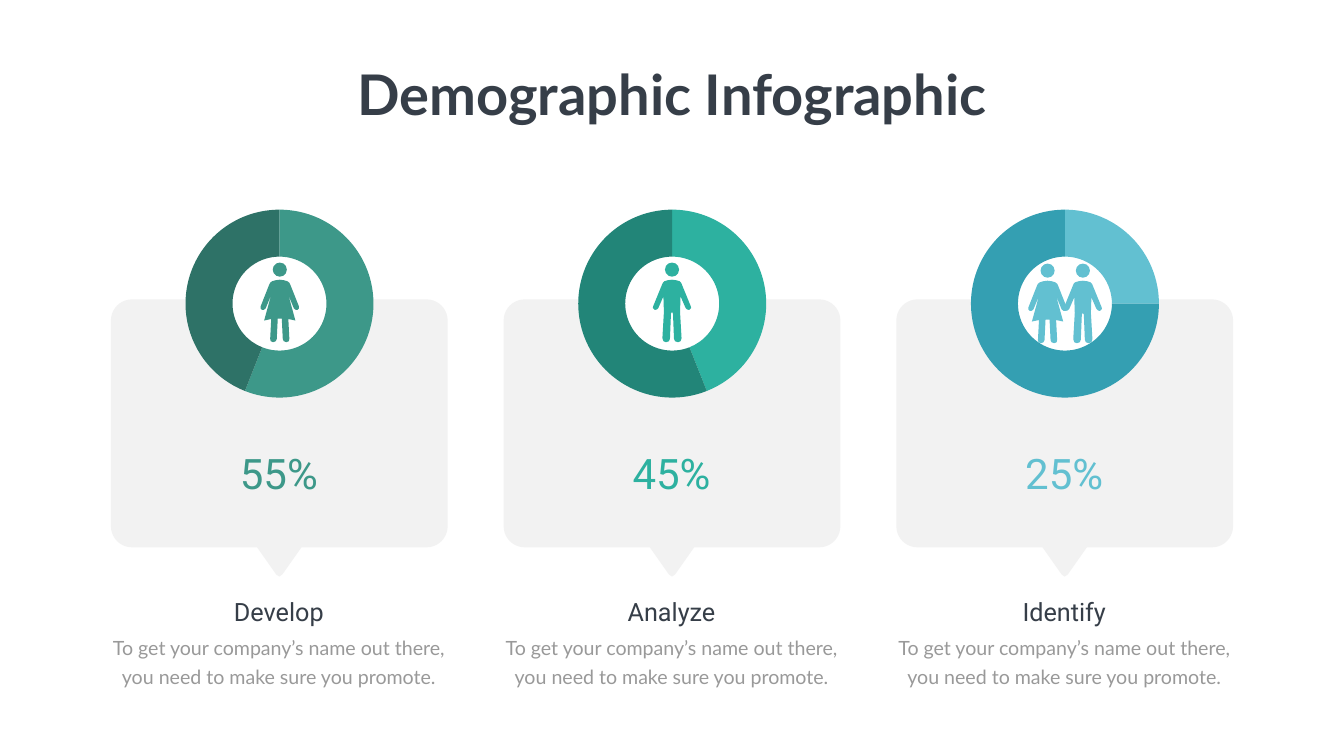
import math
from lxml import etree
from pptx import Presentation
from pptx import util as u
from pptx.chart import data as chart_data
from pptx.dml import color
from pptx.enum import chart as chart_enum, shapes, text
from pptx.oxml import parse_xml
from pptx.oxml.ns import nsdecls, qn

Inches = u.Inches
COLORS = {
    "white": "FFFFFF", "card": "F2F2F2", "dark": "363E48", "grey": "999999",
    "green": "3D9889", "deep green": "2E7267",
    "teal": "2DB1A0", "deep teal": "228578",
    "blue": "62C0D1", "deep blue": "349FB2",
}
WOMAN = [
    (0, 0), (0.08, 0.01), (0.15, 0.03), (0.19, 0.06), (0.21, 0.1), (0.38, 0.53),
    (0.38, 0.57), (0.35, 0.6), (0.32, 0.6), (0.28, 0.57), (0.17, 0.3), (0.31, 0.81),
    (0.17, 0.78), (0.19, 1.17), (0.18, 1.22), (0.13, 1.24), (0.08, 1.22),
    (0.06, 1.18), (0.04, 0.77), (0, 0.77),
]
MAN = [
    (0, 0), (0.08, 0.01), (0.15, 0.03), (0.18, 0.06), (0.19, 0.08), (0.37, 0.52),
    (0.38, 0.56), (0.34, 0.6), (0.3, 0.59), (0.27, 0.56), (0.17, 0.33), (0.16, 0.64),
    (0.19, 1.16), (0.17, 1.22), (0.12, 1.24), (0.06, 1.22), (0.04, 1.17),
    (0.02, 0.67), (0, 0.64),
]
COLUMNS = [
    ("Develop", "55%", (56, 44), "green", 2.91, [(WOMAN, 0.01, 5.55)]),
    ("Analyze", "45%", (44, 56), "teal", 2.91, [(MAN, 0, 5.55)]),
    ("Identify", "25%", (25, 75), "blue", 3.67, [(WOMAN, -0.34, 5.57), (MAN, 0.36, 5.57)]),
]
DESCRIPTION = "To get your company’s name out there, you need to make sure you promote."

presentation = Presentation()
presentation.slide_width = Inches(26.66)
presentation.slide_height = Inches(15)
slide = presentation.slides.add_slide(presentation.slide_layouts[6])


def add_filled(outline, fill, box=None):
    if box:
        shape = slide.shapes.add_shape(outline, *map(Inches, box))
    else:
        points = [(Inches(x), Inches(y)) for x, y in outline]
        builder = slide.shapes.build_freeform(*points[0])
        builder.add_line_segments(points[1:])
        shape = builder.convert_to_shape()
    shape.shadow.inherit = False
    shape.fill.solid()
    shape.fill.fore_color.rgb = color.RGBColor.from_string(COLORS[fill])
    shape.line.fill.background()


def add_text(words, center, top, width, height, size, font, fill, wrap=True, bold=False, spacing=None):
    box = slide.shapes.add_textbox(Inches(center - width / 2), Inches(top), Inches(width), Inches(height))
    frame = box.text_frame
    frame.word_wrap = wrap
    frame.auto_size = text.MSO_AUTO_SIZE.SHAPE_TO_FIT_TEXT
    frame.margin_top = frame.margin_bottom = Inches(0.03 if spacing else 0.06)
    paragraph = frame.paragraphs[0]
    paragraph.alignment = text.PP_ALIGN.CENTER
    if spacing:
        paragraph.line_spacing = u.Pt(spacing)
    run = paragraph.add_run()
    run.text = words
    run.font.size = u.Pt(size)
    run.font.name = font
    run.font.bold = bold
    run.font.color.rgb = color.RGBColor.from_string(COLORS[fill])


for index, (label, percent, values, accent, disc, people) in enumerate(COLUMNS):
    center = 5.54 + 7.79 * index
    left, right, top, bottom, radius = center - 3.34, center + 3.34, 5.94, 10.86, 0.42
    card = []
    for corner_x, corner_y, start in [
        (left + radius, top + radius, 180), (right - radius, top + radius, 270),
        (right - radius, bottom - radius, 0), (left + radius, bottom - radius, 90),
    ]:
        for step in range(11):
            angle = math.radians(start + 9 * step)
            card.append((corner_x + radius * math.cos(angle), corner_y + radius * math.sin(angle)))
        if start == 0:
            card += [(center + x, y) for x, y in [
                (0.44, bottom), (0.06, 11.4), (0, 11.44), (-0.06, 11.4), (-0.44, bottom)]]
    add_filled(card, "card")

    add_filled(shapes.MSO_SHAPE.OVAL, "white", (center - disc / 2, 6.02 - disc / 2, disc, disc))
    ring_data = chart_data.CategoryChartData()
    ring_data.categories = ["1", "2"]
    ring_data.add_series("Series 1", values)
    chart = slide.shapes.add_chart(
        chart_enum.XL_CHART_TYPE.DOUGHNUT, Inches(center - 2.13), Inches(4.02),
        Inches(4.27), Inches(4.01), ring_data).chart
    chart.has_legend = False
    chart.has_title = False
    chart.font.size = u.Pt(10)
    chart.font.name = "Calibri"
    chart.font.color.rgb = color.RGBColor.from_string(COLORS["grey"])
    plot = chart.plots[0]
    plot.vary_by_categories = True
    for position, name in enumerate([accent, "deep " + accent]):
        point = plot.series[0].points[position]
        point.format.fill.solid()
        point.format.fill.fore_color.rgb = color.RGBColor.from_string(COLORS[name])
        point.format.line.fill.background()
    chart_space = chart.element
    next(chart_space.iter(qn("c:holeSize"))).set("val", "70")
    chart_space.find(qn("c:txPr")).addprevious(parse_xml(
        f'<c:spPr {nsdecls("c", "a")}><a:noFill/><a:ln><a:noFill/></a:ln></c:spPr>'))
    plot_area = next(chart_space.iter(qn("c:plotArea")))
    for old_layout in plot_area.findall(qn("c:layout")):
        plot_area.remove(old_layout)
    layout = etree.Element(qn("c:layout"))
    manual = etree.SubElement(layout, qn("c:manualLayout"))
    for tag, value in [
        ("layoutTarget", "inner"), ("xMode", "edge"), ("yMode", "edge"),
        ("x", "0.063"), ("y", "0.035"), ("w", "0.874"), ("h", "0.93"),
    ]:
        etree.SubElement(manual, qn("c:" + tag)).set("val", value)
    plot_area.insert(0, layout)

    for half, offset, shoulder in people:
        middle = center + offset
        body = [(middle + x, shoulder + y) for x, y in half]
        body += [(middle - x, shoulder + y) for x, y in reversed(half[1:])]
        add_filled(body, accent)
        add_filled(shapes.MSO_SHAPE.OVAL, accent, (middle - 0.14, shoulder - 0.34, 0.28, 0.28))

    add_text(percent, center - 0.01, 8.82, 3.25, 1.11, 60, "Roboto", accent)
    add_text(label, center - 0.01, 11.78, 5.05, 0.71, 36, "Roboto", "dark")
    add_text(DESCRIPTION, center - 0.01, 12.49, 7.23, 1.19, 28, "Lato", "grey", spacing=40.8)

add_text("Demographic Infographic", 13.33, 1.12, 12.93, 1.45, 80, "Lato", "dark", wrap=False, bold=True)

presentation.save("out.pptx")
